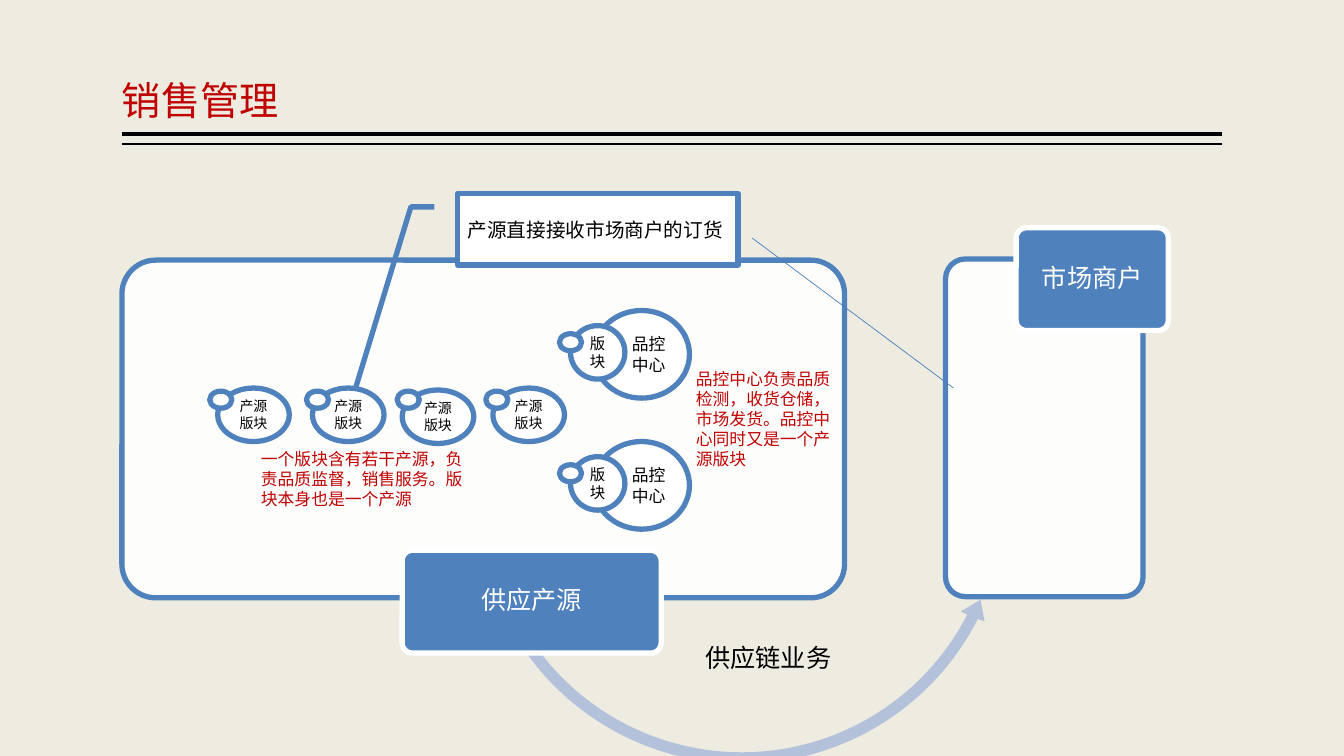
import dataclasses
import typing

import lxml.etree
import pptx
import pptx.dml.color
import pptx.enum.shapes
import pptx.enum.text
import pptx.oxml.ns
import pptx.util

Pt = pptx.util.Pt
SHAPE = pptx.enum.shapes.MSO_SHAPE
ALIGN = pptx.enum.text.PP_ALIGN
ANCHOR = pptx.enum.text.MSO_ANCHOR
FONT = "Noto Sans CJK SC"
BORDER = 3.78
COLORS = {
    "paper": "EEECE1", "white": "FFFFFF", "black": "000000", "blue": "4F81BD",
    "link": "4B7EBC", "arrow": "B3C1DB", "title": "C00000", "note": "BF0102",
}


@dataclasses.dataclass
class Text:
    words: str
    size: float
    color: str = "black"
    font: str = FONT
    align: ALIGN = ALIGN.CENTER
    anchor: ANCHOR = ANCHOR.MIDDLE
    spacing: float = 1.0
    margins: tuple[float, float] = (7.2, 3.6)


@dataclasses.dataclass
class Box:
    kind: SHAPE
    at: tuple[float, float, float, float]
    fill: str = "white"
    line: typing.Optional[str] = "blue"
    alpha: typing.Optional[int] = None
    adj: tuple[float, ...] = ()
    text: typing.Optional[Text] = None


@dataclasses.dataclass
class Rule:
    start: tuple[float, float]
    end: tuple[float, float]
    color: str
    width: float


def rgb(name: str) -> pptx.dml.color.RGBColor:
    return pptx.dml.color.RGBColor.from_string(COLORS[name])


def apply(obj, values: dict) -> None:
    for name, value in values.items():
        setattr(obj, name, value)


def lengths(values) -> list:
    return [Pt(v) for v in values]


def write(sp, text: Text) -> None:
    tf = sp.text_frame
    side, top = lengths(text.margins)
    apply(tf, {"word_wrap": True, "vertical_anchor": text.anchor,
               "margin_left": side, "margin_right": side,
               "margin_top": top, "margin_bottom": top})
    p = tf.paragraphs[0]
    apply(p, {"alignment": text.align, "line_spacing": text.spacing})
    r = p.add_run()
    r.text = text.words
    apply(r.font, {"size": Pt(text.size), "name": text.font})
    r.font.color.rgb = rgb(text.color)
    ea = lxml.etree.SubElement(r.font._element, pptx.oxml.ns.qn("a:ea"))
    ea.set("typeface", FONT)


def add_box(slide, box: Box) -> None:
    sp = slide.shapes.add_shape(box.kind, *lengths(box.at))
    sp.shadow.inherit = False
    for i, value in enumerate(box.adj):
        sp.adjustments[i] = value
    sp.fill.solid()
    sp.fill.fore_color.rgb = rgb(box.fill)
    if box.alpha is not None:
        color = sp._element.spPr.find(".//" + pptx.oxml.ns.qn("a:srgbClr"))
        alpha = lxml.etree.SubElement(color, pptx.oxml.ns.qn("a:alpha"))
        alpha.set("val", str(box.alpha * 1000))
    if box.line:
        sp.line.color.rgb = rgb(box.line)
        sp.line.width = Pt(BORDER)
    else:
        sp.line.fill.background()
    if box.text:
        write(sp, box.text)


def add_note(slide, at: tuple[float, float, float, float], text: Text) -> None:
    sp = slide.shapes.add_textbox(*lengths(at))
    write(sp, text)
    sp.text_frame.auto_size = pptx.enum.text.MSO_AUTO_SIZE.SHAPE_TO_FIT_TEXT


def add_rule(slide, rule: Rule) -> None:
    line = slide.shapes.add_connector(pptx.enum.shapes.MSO_CONNECTOR.STRAIGHT,
                                      *lengths(rule.start + rule.end))
    line.line.color.rgb = rgb(rule.color)
    line.line.width = Pt(rule.width)
    lxml.etree.SubElement(line._element.spPr, pptx.oxml.ns.qn("a:effectLst"))


def panel(at: tuple[float, float, float, float]) -> Box:
    return Box(SHAPE.ROUNDED_RECTANGLE, at, alpha=90, adj=(0.1,))


def label(at: tuple[float, float, float, float], words: str) -> Box:
    text = Text(words, 18, "white", spacing=0.9, margins=(5, 4.3))
    return Box(SHAPE.ROUNDED_RECTANGLE, at, "blue", "white", adj=(0.1,), text=text)


def dot(x: float, y: float) -> Box:
    return Box(SHAPE.OVAL, (x, y, 15.8, 12.2))


def source(x: float, y: float, dot_x: float) -> list[Box]:
    text = Text("产源版块", 10)
    return [Box(SHAPE.OVAL, (x, y, 51.1, 38.2), text=text), dot(dot_x, 279.4)]


def hub(y: float) -> list[Box]:
    center = Text("品控中心", 12, align=ALIGN.RIGHT)
    return [
        Box(SHAPE.OVAL, (424.1, y, 68.4, 62.6), text=center),
        Box(SHAPE.OVAL, (407.5, y + 10.8, 38.9, 38.2), text=Text("版块", 11)),
        dot(399.6, y + 16.6),
    ]


RULES = [Rule((873.2, 95.8), (87.1, 95.8), "black", 3),
         Rule((873.2, 102.8), (87.1, 102.8), "black", 1)]
STAGES = [
    panel((87.1, 185.8, 516.2, 241.2)),
    Box(SHAPE.LEFT_CIRCULAR_ARROW, (335.5, 162, 388.8, 388.8), "arrow", None,
        adj=(0.021, 2.478, 16.217, 86.229, 0.024)),
    label((287.3, 393.1, 185, 73.4), "供应产源"),
    panel((675.4, 185, 141.1, 241.2)),
    label((725.8, 162.7, 108.7, 73.4), "市场商户"),
]
LEFT_TOP = {"align": ALIGN.LEFT, "anchor": ANCHOR.TOP}
NOTES = [
    ((496.8, 455, 112.3, 28.8), Text("供应链业务", 18, **LEFT_TOP)),
    ((490, 259.5, 112, 80),
     Text("品控中心负责品质检测，收货仓储，市场发货。品控中心同时又是一个产源版块",
          12, "note", **LEFT_TOP)),
    ((179.3, 316.8, 159.8, 51.1),
     Text("一个版块含有若干产源，负责品质监督，销售服务。版块本身也是一个产源",
          12, "note", **LEFT_TOP)),
]
CALLOUT = Box(SHAPE.LINE_CALLOUT_2, (326.9, 138.2, 200.2, 51.1),
              adj=(0.188, -0.083, 0.188, -0.167, 2.82, -0.372),
              text=Text("产源直接接收市场商户的订货", 14, font="Roboto", align=ALIGN.LEFT))
ORDER_LINK = Rule((537.1, 169.9), (681.1, 277.2), "link", 0.5)
SOURCES = [(223.2, 277.2, 218.9), (155.5, 277.2, 149.8),
           (287.3, 278.6, 283.7), (352.1, 277.2, 347)]
HUB_TOPS = [221.8, 315.4]


def main() -> None:
    prs = pptx.Presentation()
    apply(prs, {"slide_width": Pt(960), "slide_height": Pt(540)})
    slide = prs.slides.add_slide(prs.slide_layouts[5])
    slide.background.fill.solid()
    slide.background.fill.fore_color.rgb = rgb("paper")

    # Title and double rule
    title = slide.shapes.title
    apply(title, dict(zip(("left", "top", "width", "height"),
                          lengths((87.1, 5.8, 786.2, 86.4)))))
    write(title, Text("销售管理", 28, "title", align=ALIGN.LEFT,
                      anchor=ANCHOR.BOTTOM, spacing=0.9, margins=(0, 3.6)))
    for rule in RULES:
        add_rule(slide, rule)

    # Supply and market panels
    for box in STAGES:
        add_box(slide, box)

    # Notes, callout and order link
    for at, text in NOTES:
        add_note(slide, at, text)
    add_box(slide, CALLOUT)
    add_rule(slide, ORDER_LINK)

    # Sources and quality control centres
    groups = [source(*s) for s in SOURCES] + [hub(y) for y in HUB_TOPS]
    for group in groups:
        for box in group:
            add_box(slide, box)

    prs.save("out.pptx")


if __name__ == "__main__":
    main()
